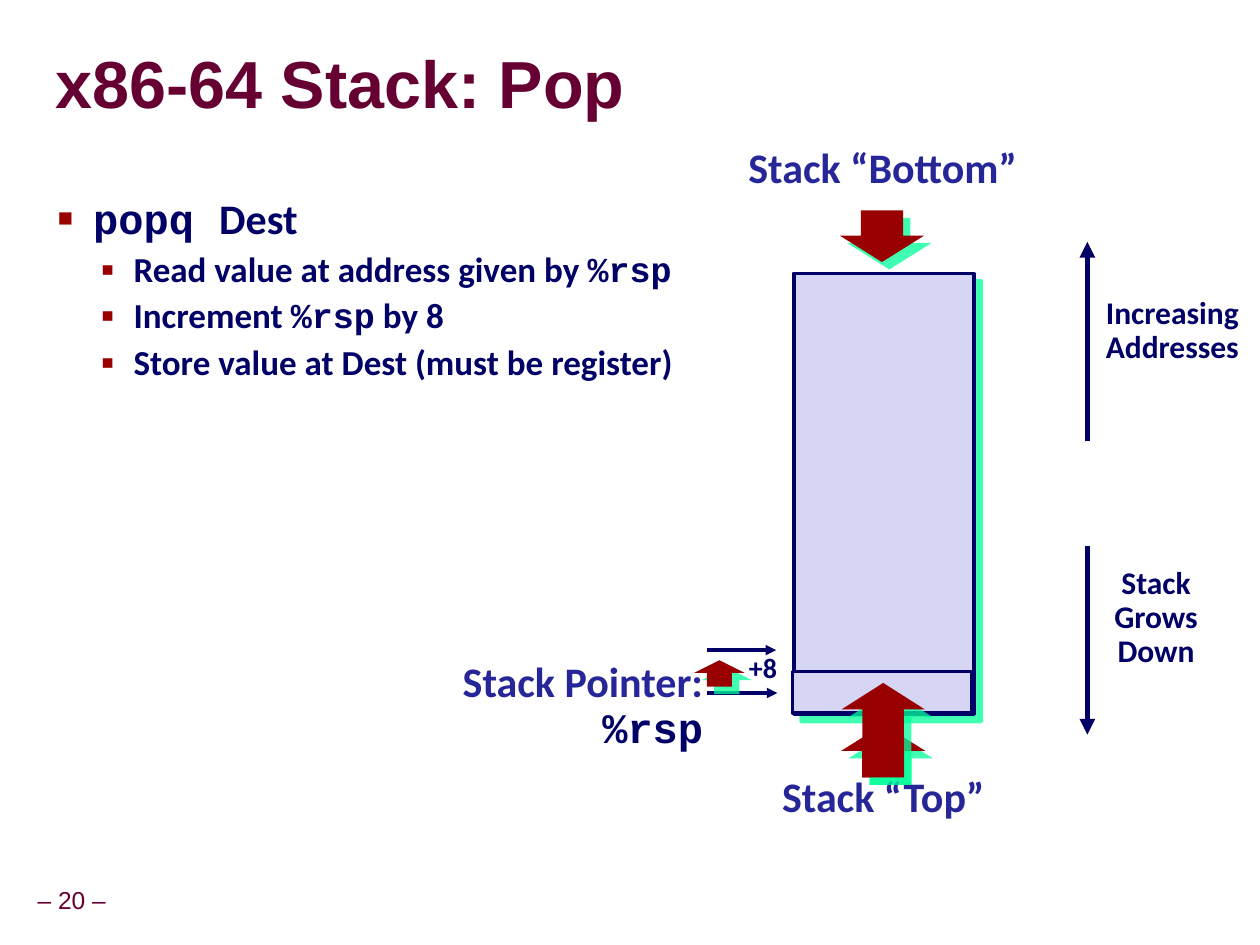
from dataclasses import dataclass

from lxml.etree import SubElement
from pptx import Presentation
from pptx.dml.color import RGBColor
from pptx.enum.shapes import MSO_CONNECTOR as CONNECTOR, MSO_SHAPE as SHAPE
from pptx.enum.text import MSO_ANCHOR as ANCHOR, PP_ALIGN as ALIGN
from pptx.oxml.ns import qn
from pptx.util import Inches, Pt


@dataclass(frozen=True)
class Theme:
    maroon: str = "660033"
    navy: str = "000066"
    label: str = "262699"
    red: str = "980002"
    bullet: str = "990000"
    stack: str = "D6D6F4"
    white: str = "FFFFFF"
    shadow: str = "00FF99"
    text_shadow: str = "808080"
    body: str = "Calibri"
    code: str = "Courier New"
    heading: str = "Arial"
    title_size: int = 38
    large: int = 24
    medium: int = 20
    note: int = 18
    small: int = 16
    footer: int = 14


THEME = Theme()


def rgb(color):
    return RGBColor.from_string(color)


def style_font(font, size, color, name=THEME.body, bold=True):
    font.size, font.name, font.bold = Pt(size), name, bold
    font.color.rgb = rgb(color)


def add_shadow(effects, color, distance, alpha, blur=0):
    """Cast a shadow towards the lower right."""
    outer = SubElement(effects, qn("a:outerShdw"), blurRad=str(Pt(blur)),
                       dist=str(Pt(distance)), dir="2700000", algn="tl", rotWithShape="0")
    tint = SubElement(outer, qn("a:srgbClr"), val=color)
    SubElement(tint, qn("a:alpha"), val=str(alpha * 1000))


def paint(shape, fill, line=None, shadow=False):
    shape.shadow.inherit = False
    shape.fill.solid()
    shape.fill.fore_color.rgb = rgb(fill)
    if line:
        shape.line.color.rgb = rgb(line)
        shape.line.width = Pt(2)
    else:
        shape.line.fill.background()
    if shadow:
        add_shadow(shape._element.spPr.find(qn("a:effectLst")), THEME.shadow, 6, 75)


def add_box(shapes, left, top, width, height, fill, line=None, shadow=False):
    box = shapes.add_shape(SHAPE.RECTANGLE, *map(Inches, (left, top, width, height)))
    paint(box, fill, line, shadow)
    return box


def prepare_frame(shape, inset=0, anchor=ANCHOR.TOP, wrap=True):
    frame = shape.text_frame
    frame.word_wrap, frame.vertical_anchor = wrap, anchor
    frame.margin_left = frame.margin_right = Inches(inset)
    frame.margin_top = frame.margin_bottom = Inches(inset)
    return frame


def add_text_box(shapes, left, top, width, height, **options):
    box = shapes.add_textbox(*map(Inches, (left, top, width, height)))
    return prepare_frame(box, **options)


def write(frame, text, size, color, align=ALIGN.CENTER, spacing=0.9, **font):
    """Write one paragraph per line of text."""
    frame.text = text
    for paragraph in frame.paragraphs:
        paragraph.alignment, paragraph.line_spacing = align, spacing
        style_font(paragraph.font, size, color, **font)


def add_line(shapes, start, end, width=2, arrow=True):
    line = shapes.add_connector(CONNECTOR.STRAIGHT, *map(Inches, start + end))
    line.line.color.rgb = rgb(THEME.navy)
    line.line.width = Pt(width)
    if arrow:
        SubElement(line.line._get_or_add_ln(), qn("a:tailEnd"), type="triangle")
    SubElement(line._element.spPr, qn("a:effectLst"))


def add_block_arrow(shapes, center, tip, tail, width, head):
    """Draw a vertical arrow from tail to tip; its stem is half its width."""
    shoulder = tip + head if tail > tip else tip - head
    half, stem = width / 2, width / 4
    outline = [(-half, shoulder), (-stem, shoulder), (-stem, tail), (stem, tail),
               (stem, shoulder), (half, shoulder), (0, tip)]
    points = [(Inches(center + x), Inches(y)) for x, y in outline]
    builder = shapes.build_freeform(*points[0])
    builder.add_line_segments(points[1:], close=True)
    paint(builder.convert_to_shape(), THEME.red, shadow=True)


def add_bullet(paragraph, runs, symbol, percent, margin, hanging, size, before):
    paragraph.line_spacing, paragraph.space_before = 0.9, Pt(before)
    for text, font in runs:
        run = paragraph.add_run()
        run.text = text
        style_font(run.font, size, THEME.navy, font)
    props = paragraph._p.get_or_add_pPr()
    props.set("marL", str(Inches(margin)))
    props.set("indent", str(-Inches(hanging)))
    SubElement(SubElement(props, qn("a:buClr")), qn("a:srgbClr"), val=THEME.bullet)
    SubElement(props, qn("a:buSzPct"), val=str(percent * 1000))
    SubElement(props, qn("a:buFont"), typeface=THEME.heading)
    SubElement(props, qn("a:buChar"), char=symbol)


def add_title(shapes):
    title = add_text_box(shapes, 0.44, 0.27, 9.53, 0.85, anchor=ANCHOR.MIDDLE)
    write(title, "x86-64 Stack: Pop", THEME.title_size, THEME.maroon,
          ALIGN.LEFT, 0.87, name=THEME.heading)
    run = title.paragraphs[0].runs[0]
    style_font(run.font, THEME.title_size, THEME.maroon, THEME.heading)
    effects = run._r.get_or_add_rPr().find(qn("a:solidFill"))
    holder = effects.makeelement(qn("a:effectLst"))
    effects.addnext(holder)
    add_shadow(holder, THEME.text_shadow, 4, 60, blur=4)


def add_instructions(shapes):
    frame = add_text_box(shapes, 0.42, 1.53, 9.17, 5.94, inset=0.04)
    add_bullet(frame.paragraphs[0], [("popq ", THEME.code), ("Dest", THEME.body)],
               "■", 60, 0.28, 0.28, THEME.large, 6)
    steps = [
        [("Read value at address given by ", THEME.body), ("%rsp", THEME.code)],
        [("Increment ", THEME.body), ("%rsp", THEME.code), (" by 8", THEME.body)],
        [("Store value at Dest (must be register)", THEME.body)],
    ]
    for runs in steps:
        step = frame.add_paragraph()
        step.level = 1
        add_bullet(step, runs, "▪", 110, 0.6, 0.26, THEME.medium, 5)


def add_pointer_label(shapes):
    frame = add_text_box(shapes, 2.8, 5.25, 2.78, 0.8)
    pointer = frame.paragraphs[0]
    pointer.alignment, pointer.line_spacing = ALIGN.RIGHT, 0.9
    caption = pointer.add_run()
    caption.text = "Stack Pointer:"
    style_font(caption.font, THEME.large, THEME.label)
    pointer.add_line_break()
    register = pointer.add_run()
    register.text = "%rsp"
    style_font(register.font, THEME.large, THEME.navy, THEME.code)


def add_increment(shapes):
    group = shapes.add_group_shape().shapes
    add_line(group, (5.61, 5.16), (6.16, 5.16))
    label = add_text_box(group, 5.9, 5.15, 0.31, 0.35, inset=0.04, wrap=False)
    write(label, "+8", THEME.small, THEME.navy)
    add_block_arrow(group, 5.71, tip=5.24, tail=5.45, width=0.4, head=0.1)


def main():
    deck = Presentation()
    deck.slide_width, deck.slide_height = Inches(10), Inches(7.5)
    shapes = deck.slides.add_slide(deck.slide_layouts[6]).shapes

    # Page number
    page = add_text_box(shapes, 0.24, 7, 0.66, 0.31, inset=0.05,
                        anchor=ANCHOR.MIDDLE, wrap=False)
    write(page, "– 20 –", THEME.footer, THEME.maroon, name=THEME.heading, bold=False)

    # Old top marker and stack pointer
    add_block_arrow(shapes, 7.01, tip=5.75, tail=6.17, width=0.67, head=0.21)
    add_line(shapes, (5.61, 5.5), (6.17, 5.5))
    add_pointer_label(shapes)

    # Stack body
    add_box(shapes, 6.3, 2.17, 1.43, 3.5, THEME.stack, THEME.navy, shadow=True)

    # Directions on the right
    add_line(shapes, (8.63, 4.33), (8.63, 5.83), width=3)
    growth = add_box(shapes, 8.73, 4.5, 0.89, 1, THEME.white)
    write(prepare_frame(growth), "Stack Grows\nDown", THEME.note, THEME.navy)
    add_line(shapes, (8.63, 3.5), (8.63, 1.92), width=3)
    addresses = add_box(shapes, 8.74, 2.36, 1.13, 0.69, THEME.white)
    write(prepare_frame(addresses, wrap=False), "Increasing\nAddresses",
          THEME.note, THEME.navy)

    # Labels of the two stack ends
    for text, left, top, width in [("Stack “Top”", 6.16, 6.16, 1.7),
                                   ("Stack “Bottom”", 5.89, 1.17, 2.23)]:
        write(add_text_box(shapes, left, top, width, 0.49, wrap=False),
              text, THEME.large, THEME.label)
    add_block_arrow(shapes, 7, tip=2.08, tail=1.67, width=0.67, head=0.21)

    add_title(shapes)

    # Popped cell, pointer increment and new top marker
    add_line(shapes, (6.29, 5.33), (7.71, 5.33), arrow=False)
    add_increment(shapes)
    add_box(shapes, 6.29, 5.33, 1.42, 0.33, THEME.stack, THEME.navy)
    add_block_arrow(shapes, 7.01, tip=5.42, tail=6.17, width=0.66, head=0.21)

    add_instructions(shapes)
    deck.save("out.pptx")


if __name__ == "__main__":
    main()
